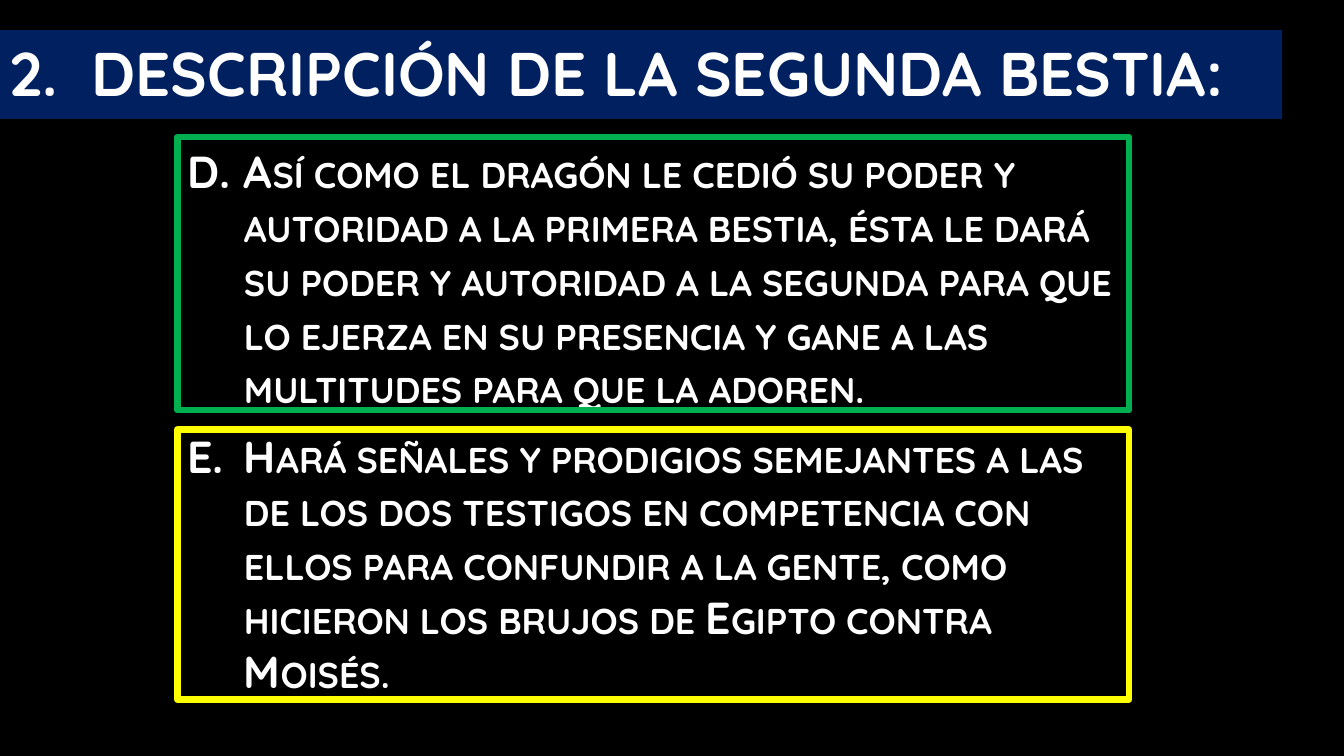
from lxml import etree
from pptx import Presentation
from pptx.dml.color import RGBColor
from pptx.enum.shapes import MSO_SHAPE
from pptx.enum.text import MSO_ANCHOR, PP_ALIGN
from pptx.oxml.ns import qn
from pptx.util import Pt

RECT = MSO_SHAPE.RECTANGLE
TOP, MIDDLE = MSO_ANCHOR.TOP, MSO_ANCHOR.MIDDLE
LEFT = PP_ALIGN.LEFT

BLACK = RGBColor(0x00, 0x00, 0x00)
WHITE = RGBColor(0xFF, 0xFF, 0xFF)
NAVY = RGBColor(0x00, 0x20, 0x60)
GREEN = RGBColor(0x00, 0xB0, 0x50)
YELLOW = RGBColor(0xFF, 0xFF, 0x00)

FONT = "Quicksand"
BODY_LEFT, BODY_TOP, BODY_WIDTH = 126.7, 97.9, 679.7

TITLE = "DESCRIPCIÓN DE LA SEGUNDA BESTIA:"
POINTS = [
    "Así como el dragón le cedió su poder y autoridad a la primera bestia, "
    "ésta le dará su poder y autoridad a la segunda para que lo ejerza en su "
    "presencia y gane a las multitudes para que la adoren.",
    "Hará señales y prodigios semejantes a las de los dos testigos en "
    "competencia con ellos para confundir a la gente, como hicieron los "
    "brujos de Egipto contra Moisés.",
]


def add_rect(s, left, top, width, height, fill=None, line=None):
    sp = s.shapes.add_shape(RECT, Pt(left), Pt(top), Pt(width), Pt(height))
    sp.shadow.inherit = False
    if fill is None:
        sp.fill.background()
    else:
        sp.fill.solid()
        sp.fill.fore_color.rgb = fill
    if line is None:
        sp.line.fill.background()
    else:
        sp.line.color.rgb = line
        sp.line.width = Pt(4.5)
    return sp


def set_frame(sp, anchor, top, bottom):
    tf = sp.text_frame
    tf.word_wrap = True
    tf.vertical_anchor = anchor
    tf.margin_top, tf.margin_bottom = Pt(top), Pt(bottom)
    return tf


def add_numbered(p, text, size, scheme, start, indent, small_caps=False):
    p.alignment = LEFT
    pPr = p._p.get_or_add_pPr()
    pPr.set("marL", str(Pt(indent)))
    pPr.set("indent", str(-Pt(indent)))
    etree.SubElement(pPr, qn("a:buFont"), typeface="+mj-lt")
    etree.SubElement(pPr, qn("a:buAutoNum"), type=scheme, startAt=str(start))
    r = p.add_run()
    r.text = text
    r.font.name = FONT
    r.font.size = Pt(size)
    r.font.bold = True
    r.font.color.rgb = WHITE
    if small_caps:
        r.font._element.set("cap", "small")


def main():
    prs = Presentation()
    prs.slide_width, prs.slide_height = Pt(960), Pt(540)
    s = prs.slides.add_slide(prs.slide_layouts[6])
    s.background.fill.solid()
    s.background.fill.fore_color.rgb = BLACK

    # Title band
    sp = add_rect(s, 0, 21.6, 915.8, 63.4, fill=NAVY)
    tf = set_frame(sp, MIDDLE, 3.6, 7.6)
    add_numbered(tf.paragraphs[0], TITLE, 44, "arabicPeriod", 2, 58.3)

    # Lettered points, D and E
    sp = add_rect(s, BODY_LEFT, BODY_TOP, BODY_WIDTH, 429.1, fill=BLACK)
    tf = set_frame(sp, TOP, 5, 3.6)
    for i, text in enumerate(POINTS):
        p = tf.add_paragraph() if i else tf.paragraphs[0]
        p.space_before = Pt(5)
        p.space_after = Pt(6)
        add_numbered(p, text, 32, "alphaUcPeriod", 4, 40.5, small_caps=True)

    # Frame around each point
    for top, height, color in ((BODY_TOP, 195.1, GREEN), (306.7, 193, YELLOW)):
        add_rect(s, BODY_LEFT, top, BODY_WIDTH, height, line=color)

    prs.save("out.pptx")


if __name__ == "__main__":
    main()
